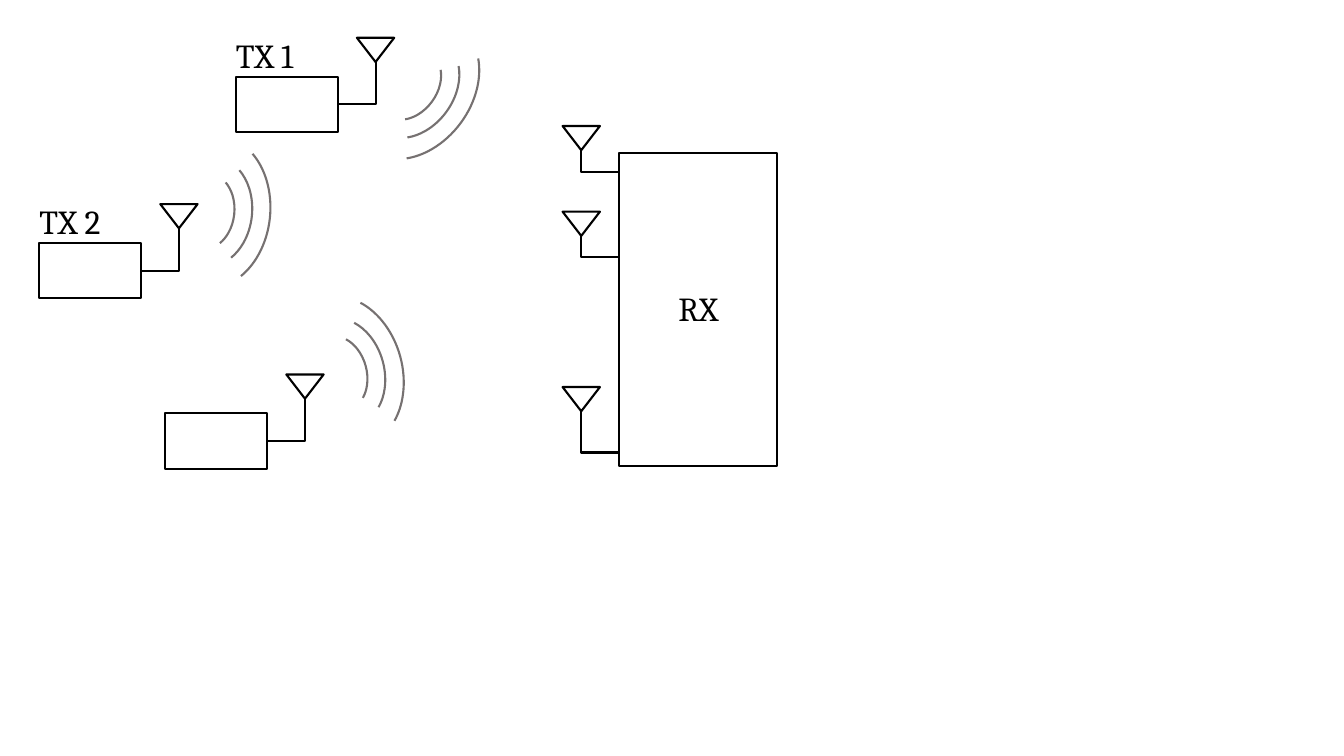
from math import cos, radians, sin

from lxml import etree
from pptx import Presentation
from pptx.dml.color import RGBColor
from pptx.enum.shapes import MSO_CONNECTOR, MSO_SHAPE
from pptx.enum.text import MSO_AUTO_SIZE, PP_ALIGN
from pptx.oxml.ns import qn
from pptx.util import Inches, Pt

RECTANGLE, TRIANGLE, ARC = MSO_SHAPE.RECTANGLE, MSO_SHAPE.ISOSCELES_TRIANGLE, MSO_SHAPE.ARC
ELBOW = MSO_CONNECTOR.ELBOW
LEFT, CENTER = PP_ALIGN.LEFT, PP_ALIGN.CENTER
FIT_TEXT = MSO_AUTO_SIZE.SHAPE_TO_FIT_TEXT

THEME = {
    "ink": RGBColor(0x00, 0x00, 0x00),
    "wave": RGBColor(0x76, 0x71, 0x71),
    "font": "Cambria",
    "label": Pt(24),
    "line": Pt(1.5),
}

# The page is a grid of 1333 columns and 750 rows
COLUMNS, ROWS = 1333, 750
CELL = Inches(13.33) / COLUMNS

BOX_WIDTH, BOX_HEIGHT = 101, 55
HORN_WIDTH, HORN_HEIGHT = 37, 24
FEED = 37.5
MAST = 42
LABEL_HEIGHT = 40

# Box column and row, label, wave centre from the box corner, wave direction
TRANSMITTERS = [
    (234, 76, "TX 1", (177.5, 12.5), 36.4),
    (39, 241, "TX 2", (172.5, -30.5), 6.2),
    (164, 410, "", (178.5, -41.5), -15.3),
]
# Width, height and step back along the wave direction
WAVES = [(56, 75, 7), (81, 108, 2), (113, 151, 0)]
ARC_START, ARC_END = 178.656, 36.218

RX_LEFT, RX_TOP, RX_WIDTH, RX_HEIGHT = 614, 152, 157, 310
# Horn tip row and feed row
RX_ANTENNAS = [(149, 171), (234, 255), (408, 449)]

deck = Presentation()
deck.slide_width, deck.slide_height = round(COLUMNS * CELL), round(ROWS * CELL)
page = deck.slides.add_slide(deck.slide_layouts[6])


def add_outline(kind, left, top, width, height, color=THEME["ink"], turn=0):
    shape = page.shapes.add_shape(
        kind, *(round(length * CELL) for length in (left, top, width, height)))
    shape.shadow.inherit = False
    shape.fill.background()
    shape.line.color.rgb = color
    shape.line.width = THEME["line"]
    shape.rotation = turn
    return shape


def add_antenna(feed_left, feed_top, tip_left, tip_top):
    """Draw a horn and the one-bend feed line that runs to its tip."""
    add_outline(TRIANGLE, tip_left - HORN_WIDTH / 2, tip_top - HORN_HEIGHT,
                HORN_WIDTH, HORN_HEIGHT, turn=180)
    feed = page.shapes.add_connector(
        ELBOW, *(round(length * CELL) for length in (feed_left, feed_top, tip_left, tip_top)))
    feed.line.color.rgb = THEME["ink"]
    feed.line.width = THEME["line"]
    properties = feed.element.spPr
    properties.find(qn("a:prstGeom")).set("prst", "bentConnector2")
    etree.SubElement(properties, qn("a:effectLst"))


labels = [("RX", 635, 286, 115, CENTER)]

for left, top, name, (wave_left, wave_top), turn in TRANSMITTERS:
    add_outline(RECTANGLE, left, top, BOX_WIDTH, BOX_HEIGHT)
    feed_left, feed_top = left + BOX_WIDTH, top + BOX_HEIGHT / 2
    add_antenna(feed_left, feed_top, feed_left + FEED, feed_top - MAST)
    for width, height, back in WAVES:
        center_left = left + wave_left - back * cos(radians(turn))
        center_top = top + wave_top - back * sin(radians(turn))
        wave = add_outline(ARC, center_left - width / 2, center_top - height / 2,
                           width, height, THEME["wave"], turn)
        wave.adjustments[0], wave.adjustments[1] = ARC_START, ARC_END
    if name:
        labels.append((name, left, top - LABEL_HEIGHT - 1.5, BOX_WIDTH, LEFT))

add_outline(RECTANGLE, RX_LEFT, RX_TOP, RX_WIDTH, RX_HEIGHT)
for tip_top, feed_top in RX_ANTENNAS:
    add_antenna(RX_LEFT, feed_top, RX_LEFT - FEED, tip_top)

for name, left, top, width, alignment in labels:
    box = page.shapes.add_textbox(
        *(round(length * CELL) for length in (left, top, width, LABEL_HEIGHT)))
    frame = box.text_frame
    frame.word_wrap = True
    frame.auto_size = FIT_TEXT
    frame.margin_left = frame.margin_top = frame.margin_right = frame.margin_bottom = 0
    para = frame.paragraphs[0]
    para.alignment = alignment
    span = para.add_run()
    span.text = name
    span.font.name = THEME["font"]
    span.font.size = THEME["label"]
    span.font.color.rgb = THEME["ink"]

deck.save("out.pptx")
